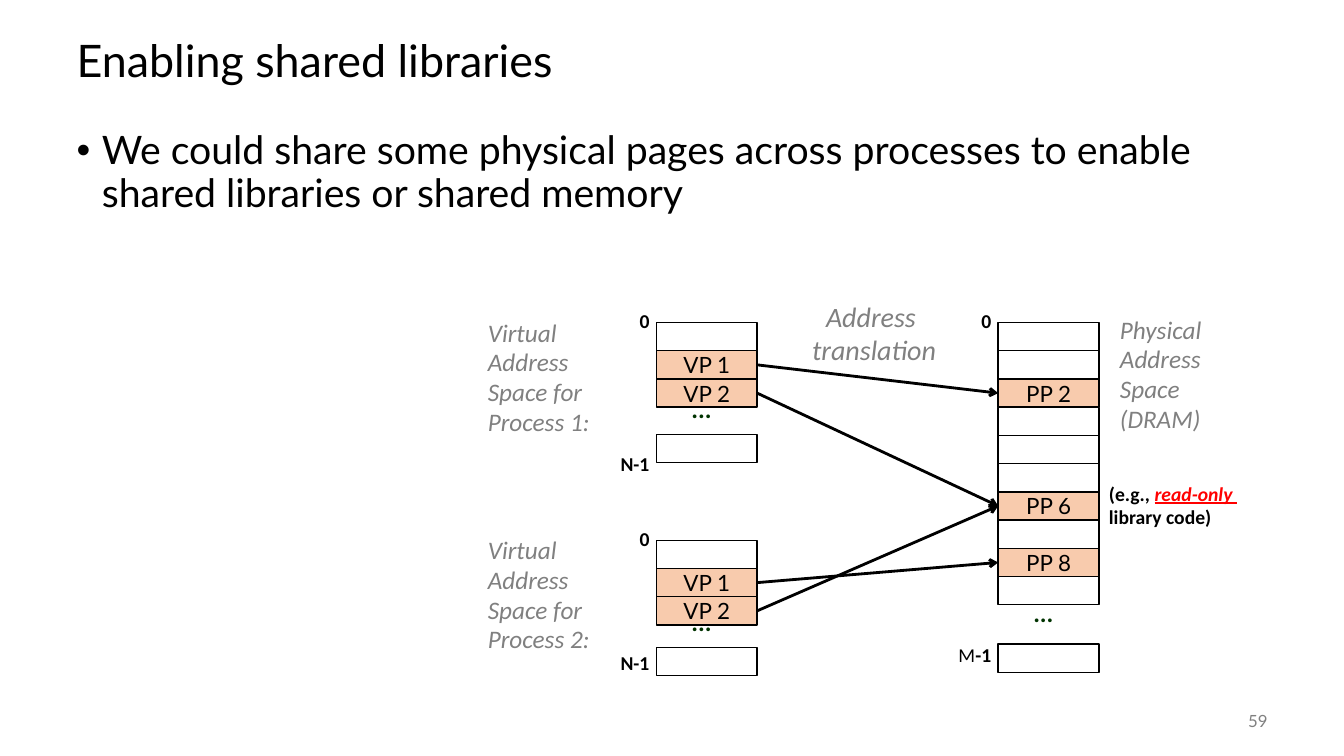
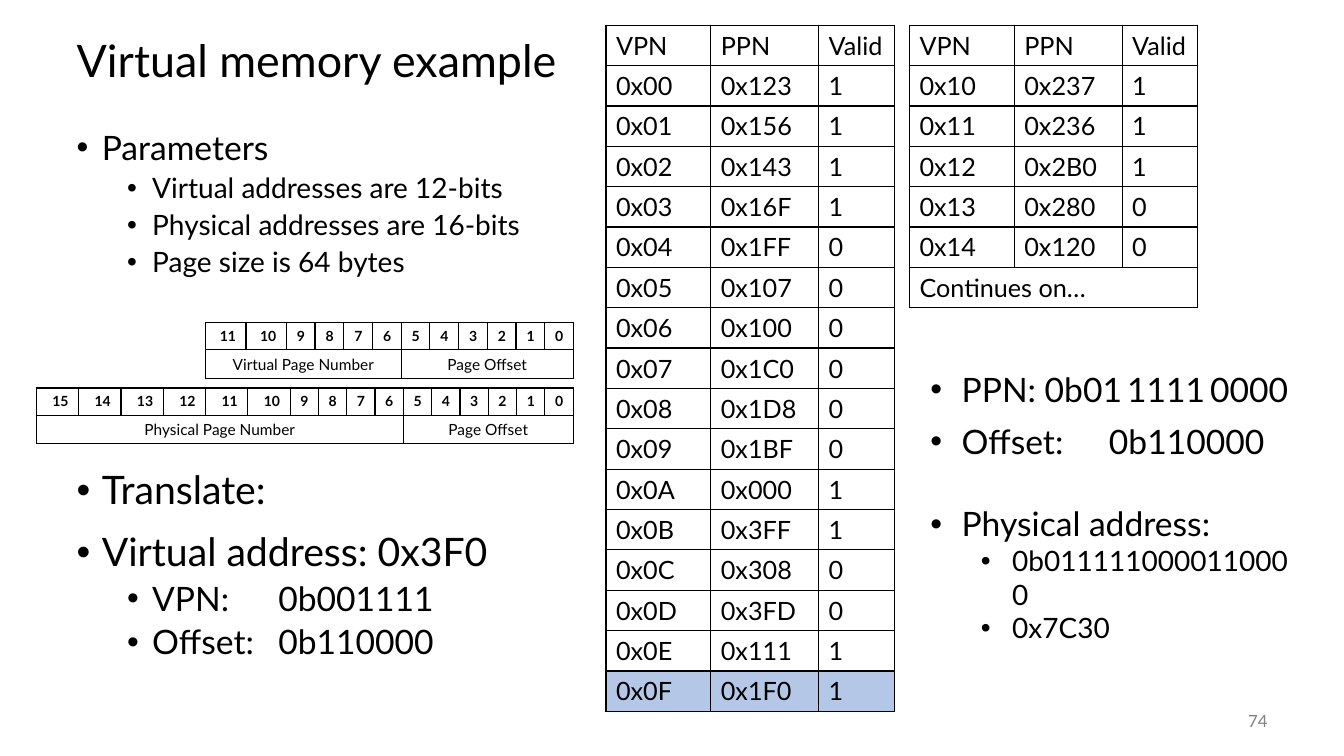
import pptx
import pptx.util
import pptx.dml.color
import pptx.enum.shapes
import pptx.enum.text
import pptx.oxml
import pptx.oxml.ns
from lxml import etree

COLORS = {"ink": "000000", "grey": "808080", "alert": "FF0000", "dots": "003300",
          "mapped": "F8CBAD", "hit": "B4C7E7"}
ALIGN = pptx.enum.text.PP_ALIGN
ANCHOR = pptx.enum.text.MSO_ANCHOR
Inches, Pt = pptx.util.Inches, pptx.util.Pt

SLIDE_WIDTH, SLIDE_HEIGHT = 13.33, 7.5
TITLE_BOX = (0.66, 0.25, 12, 0.75)
BODY_BOX = (0.66, 1.25, 12, 5.5)
NUMBER_BOX = (11.67, 6.95, 1, 0.4)
CELL_WIDTH, CELL_HEIGHT = 1, 0.28
LABEL_WIDTH = 0.7

PLAIN = {"name": "Lato", "size": 16, "color": "ink"}
CAPTION = {"name": "Calibri", "size": 18, "color": "grey", "italic": True}
LABEL = {"name": "Calibri", "size": 14, "color": "ink", "bold": True}
DOTS = {"name": "Calibri", "size": 18, "color": "dots", "bold": True}


def rgb(name):
    return pptx.dml.color.RGBColor.from_string(COLORS[name])


def add_child(parent, tag, **attributes):
    child = etree.SubElement(parent, pptx.oxml.ns.qn(tag))
    for key, value in attributes.items():
        child.set(key, str(value))
    return child


def add_spans(para, spans, style):
    """Write spans, each plain text or a pair of text and format changes."""
    for item in spans if isinstance(spans, list) else [spans]:
        text, changes = item if isinstance(item, tuple) else (item, {})
        span = para.add_run()
        span.text = text
        for key, value in {**style, **changes}.items():
            if key == "color":
                span.font.color.rgb = rgb(value)
            else:
                setattr(span.font, key, Pt(value) if key == "size" else value)


def fill_frame(frame, paras, style, **layout):
    """Write paragraphs; each receives the same paragraph layout."""
    for index, spans in enumerate(paras):
        para = frame.paragraphs[0] if index == 0 else frame.add_paragraph()
        for key, value in layout.items():
            setattr(para, key, value)
        add_spans(para, spans, style)


def place(shape, box):
    for key, value in zip(("left", "top", "width", "height"), box):
        setattr(shape, key, Inches(value))


def add_text(page, box, paras, style, wrap=True, anchor=ANCHOR.TOP, **layout):
    frame = page.shapes.add_textbox(*map(Inches, box)).text_frame
    frame.word_wrap = wrap
    frame.vertical_anchor = anchor
    fill_frame(frame, paras, style, **layout)
    return frame


def fill_list(frame, items, indents, hang, spacing):
    """Write bullets from (level, size, space before, spans[, tab])."""
    for index, (level, size, before, spans, *tab) in enumerate(items):
        para = frame.paragraphs[0] if index == 0 else frame.add_paragraph()
        para.level = level
        para.line_spacing = spacing
        para.space_before = Pt(before)
        properties = para._p.get_or_add_pPr()
        properties.set("marL", str(Inches(indents[level])))
        properties.set("indent", str(-Inches(hang)))
        add_child(properties, "a:buFont", typeface="Arial")
        add_child(properties, "a:buChar", char="•")
        if tab:
            stops = add_child(properties, "a:tabLst")
            add_child(stops, "a:tab", pos=Inches(tab[0]), algn="l")
        add_spans(para, spans, {**PLAIN, "size": size})


def new_page(deck, title, number, items):
    page = deck.slides.add_slide(deck.slide_layouts[1])
    body = page.placeholders[1]
    for shape, box, anchor in ((page.shapes.title, TITLE_BOX, ANCHOR.MIDDLE),
                               (body, BODY_BOX, ANCHOR.TOP)):
        place(shape, box)
        shape.text_frame.auto_size = pptx.enum.text.MSO_AUTO_SIZE.NONE
        shape.text_frame.vertical_anchor = anchor
    fill_frame(page.shapes.title.text_frame, [title], {**PLAIN, "size": 32},
               alignment=ALIGN.LEFT, line_spacing=0.9)
    fill_list(body.text_frame, items, (0.25, 0.75), 0.25, 0.9)
    add_text(page, NUMBER_BOX, [number], {**PLAIN, "size": 12, "color": "grey"},
             anchor=ANCHOR.MIDDLE, alignment=ALIGN.RIGHT)
    return page


def memory_cell(page, left, top, name):
    cell = page.shapes.add_shape(pptx.enum.shapes.MSO_SHAPE.RECTANGLE,
                                 *map(Inches, (left, top, CELL_WIDTH, CELL_HEIGHT)))
    cell.shadow.inherit = False
    cell.line.color.rgb = rgb("ink")
    cell.line.width = Pt(1)
    cell.fill.background()
    if name:
        cell.fill.solid()
        cell.fill.fore_color.rgb = rgb("mapped")
        frame = cell.text_frame
        frame.margin_top = frame.margin_bottom = 0
        frame.vertical_anchor = ANCHOR.MIDDLE
        fill_frame(frame, [name], PLAIN, alignment=ALIGN.CENTER)
    return cell


def memory_column(page, left, top, names, last_row, dots_row, last_label, label_row):
    """Stack cells from left, top; rows are counted in cell heights."""
    cells = [memory_cell(page, left, top + row * CELL_HEIGHT, name)
             for row, name in enumerate(names)]
    memory_cell(page, left, top + last_row * CELL_HEIGHT, "")
    add_text(page, (left + 0.25, top + dots_row * CELL_HEIGHT, 0.4, 0.36), ["..."],
             DOTS, wrap=False, line_spacing=0.88)
    for text, row in (("0", -0.6), (last_label, label_row)):
        add_text(page, (left + 0.03 - LABEL_WIDTH, top + row * CELL_HEIGHT,
                        LABEL_WIDTH, 0.33),
                 [text], LABEL, line_spacing=0.98, alignment=ALIGN.RIGHT)
    return cells


def map_arrow(page, virtual, physical):
    arrow = page.shapes.add_connector(pptx.enum.shapes.MSO_CONNECTOR.STRAIGHT, 0, 0, 0, 0)
    arrow.begin_connect(virtual, 3)
    arrow.end_connect(physical, 1)
    arrow.line.color.rgb = rgb("ink")
    arrow.line.width = Pt(2)
    add_child(arrow.line._get_or_add_ln(), "a:tailEnd", type="arrow")
    add_child(arrow._element.spPr, "a:effectLst")


def shared_libraries(deck):
    page = new_page(deck, "Enabling shared libraries", "59", [
        (0, 28, 0, "We could share some physical pages across processes to enable "
                   "shared libraries or shared memory")])
    virtual_left, physical_left, top = 6.51, 9.9, 3.2
    mapped = {2: "PP 2", 6: "PP 6", 8: "PP 8"}
    physical = memory_column(page, physical_left, top,
                             [mapped.get(row, "") for row in range(10)],
                             11.39, 9.71, [("M", {"bold": False}), "-1"], 11.21)
    processes = ((top, 3.97, 2.46, 4.46, (2, 6)), (5.36, 3.79, 2.29, 3.79, (8, 6)))
    for number, (start, last, dots, label, targets) in enumerate(processes, 1):
        cells = memory_column(page, virtual_left, start, ["", "VP 1", "VP 2"],
                              last, dots, "N-1", label)
        add_text(page, (virtual_left - 1.77, start - 0.09, 1.5, 1.28),
                 [f"Virtual Address Space for Process {number}:"], CAPTION,
                 line_spacing=0.98)
        for cell, target in zip(cells[1:], targets):
            map_arrow(page, cell, physical[target])
    add_text(page, (physical_left + 1.11, top - 0.12, 1.17, 1.29),
             ["Physical", "Address", "Space (DRAM)"], CAPTION, line_spacing=0.98)
    warning = {"color": "alert", "italic": True, "underline": True}
    add_text(page, (physical_left + 1, 4.74, 1.59, 0.56),
             [["(e.g., ", ("read-only ", warning)], "library code)"], LABEL,
             line_spacing=0.98)
    add_text(page, (7.93, 2.92, 1.48, 0.77), ["Address ", "translation"],
             {**CAPTION, "size": 20}, wrap=False, alignment=ALIGN.CENTER)


def new_table(page, left, top, widths, heights):
    """Add an unfilled table with thin black borders."""
    frame = page.shapes.add_table(len(heights), len(widths), Inches(left), Inches(top),
                                  Inches(sum(widths)), Inches(sum(heights)))
    table = frame.table
    table.first_row = table.horz_banding = False
    for column, width in zip(table.columns, widths):
        column.width = Inches(width)
    for row, height in zip(table.rows, heights):
        row.height = Inches(height)
    for cell in table.iter_cells():
        properties = cell._tc.get_or_add_tcPr()
        for side in ("a:lnL", "a:lnR", "a:lnT", "a:lnB"):
            border = add_child(properties, side, w=Pt(1))
            add_child(add_child(border, "a:solidFill"), "a:srgbClr", val=COLORS["ink"])
        cell.fill.background()
    return table


def address_bits(page, left, top, width, wide, bits, label):
    """Draw an address layout: bit numbers over page number and offset."""
    offset_bits, two_digit = 6, bits - 10
    widths = [wide] * two_digit + [(width - wide * two_digit) / 10] * 10
    table = new_table(page, left, top, widths, (0.27, 0.28))
    for column in range(bits):
        fill_frame(table.cell(0, column).text_frame, [str(bits - 1 - column)],
                   {**PLAIN, "size": 10, "bold": True}, alignment=ALIGN.RIGHT)
    split = bits - offset_bits
    for first, last, text in ((0, split - 1, label), (split, bits - 1, "Page Offset")):
        cell = table.cell(1, first)
        cell.merge(table.cell(1, last))
        fill_frame(cell.text_frame, [text], {**PLAIN, "size": 11, "bold": False},
                   alignment=ALIGN.CENTER)


def page_table(page, left, first_vpn, entries, highlight=None, closing=None):
    """List page table entries, each a PPN and a valid bit."""
    rows = [("VPN", "PPN", "Valid")]
    rows += [(f"0x{vpn:02X}", f"0x{entry[:3]}", entry[3])
             for vpn, entry in enumerate(entries, first_vpn)]
    if closing:
        rows.append((closing,))
    table = new_table(page, left, 0.25, (1.04, 1.07, 0.75), [0.4] * len(rows))
    for row, values in enumerate(rows):
        for column, value in enumerate(values):
            cell = table.cell(row, column)
            fill_frame(cell.text_frame, [value], {**PLAIN, "size": 18})
            if values[0] == highlight:
                cell.fill.solid()
                cell.fill.fore_color.rgb = rgb("hit")
    if closing:
        table.cell(len(rows) - 1, 0).merge(table.cell(len(rows) - 1, 2))


def memory_example(deck):
    page = new_page(deck, "Virtual memory example", "74", [
        (0, 24, 0, "Parameters"),
        (1, 20, 5, "Virtual addresses are 12-bits"),
        (1, 20, 5, "Physical addresses are 16-bits"),
        (1, 20, 5, "Page size is 64 bytes"),
        (0, 28, 137, "Translate:"),
        (0, 28, 14, "Virtual address: 0x3F0"),
        (1, 24, 5, "VPN:\t0b001111"),
        (1, 24, 5, "Offset:\t0b110000")])
    address_bits(page, 2.04, 3.2, 3.65, 0.4, 12, "Virtual Page Number")
    address_bits(page, 0.36, 3.85, 5.33, 0.42, 16, "Physical Page Number")
    # Each entry is three PPN digits followed by the valid bit.
    page_table(page, 6.01, 0x00,
               "1231 1561 1431 16F1 1FF0 1070 1000 1C00 "
               "1D80 1BF0 0001 3FF1 3080 3FD0 1111 1F01".split(), highlight="0x0F")
    page_table(page, 9.02, 0x10, "2371 2361 2B01 2800 1200".split(),
               closing="Continues on…")
    frame = add_text(page, (9.13, 3.61, 3.81, 2.52), [], PLAIN)
    gap = (" ", {"size": 14})
    fill_list(frame, [
        (0, 24, 0, ["PPN: 0b01", gap, "1111", gap, "0000"]),
        (0, 24, 8.5, "Offset:\t0b110000", 1.77),
        (0, 24, 30, "Physical address:"),
        (1, 20, 0, "0b0111110000110000"),
        (1, 20, 0, "0x7C30")], (0.31, 0.81), 0.31, 1.0)


def main():
    deck = pptx.Presentation()
    deck.slide_width, deck.slide_height = Inches(SLIDE_WIDTH), Inches(SLIDE_HEIGHT)
    shared_libraries(deck)
    memory_example(deck)
    deck.save("out.pptx")


if __name__ == "__main__":
    main()
